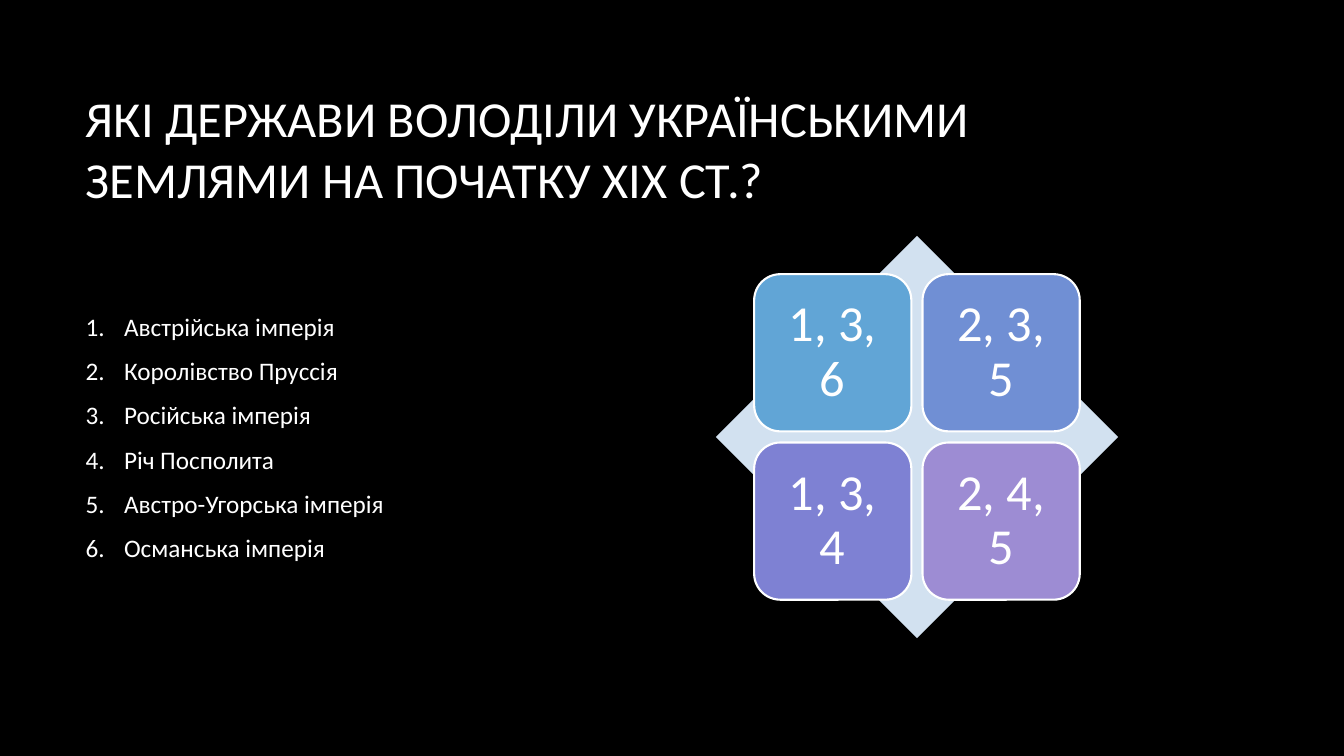
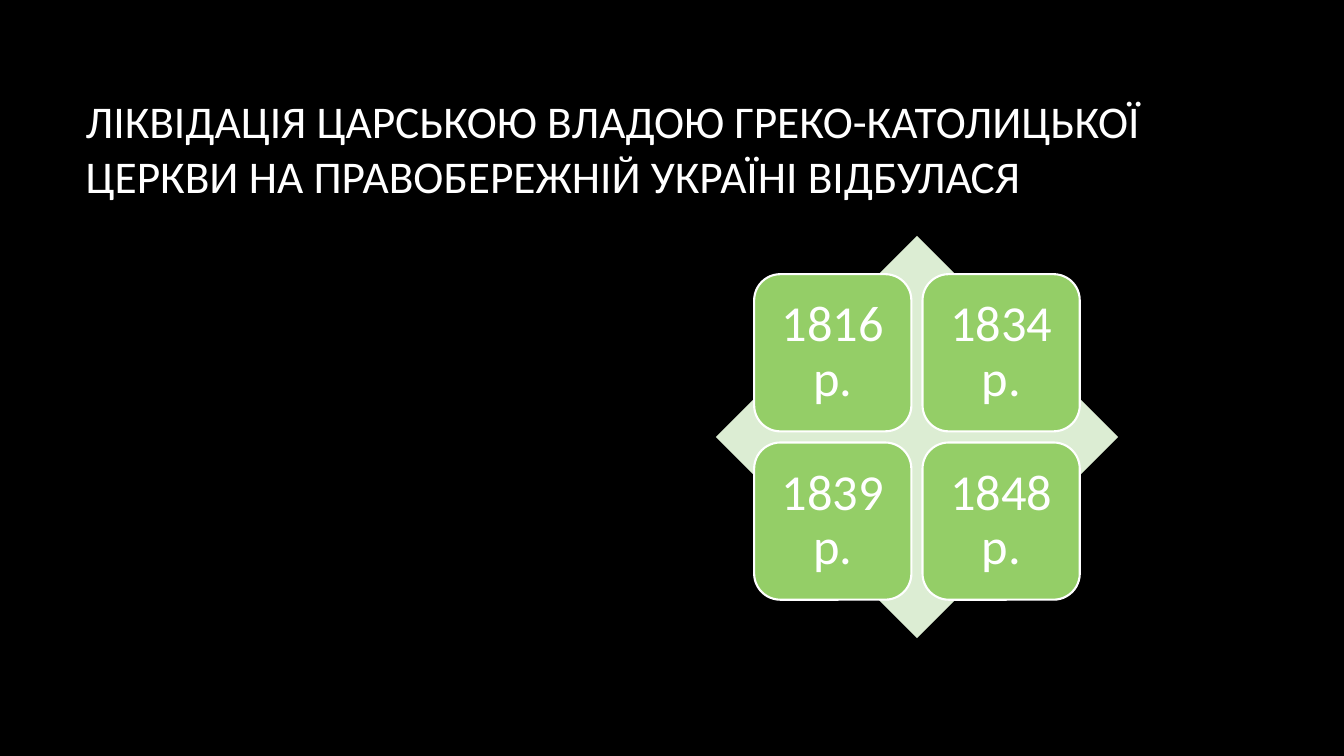
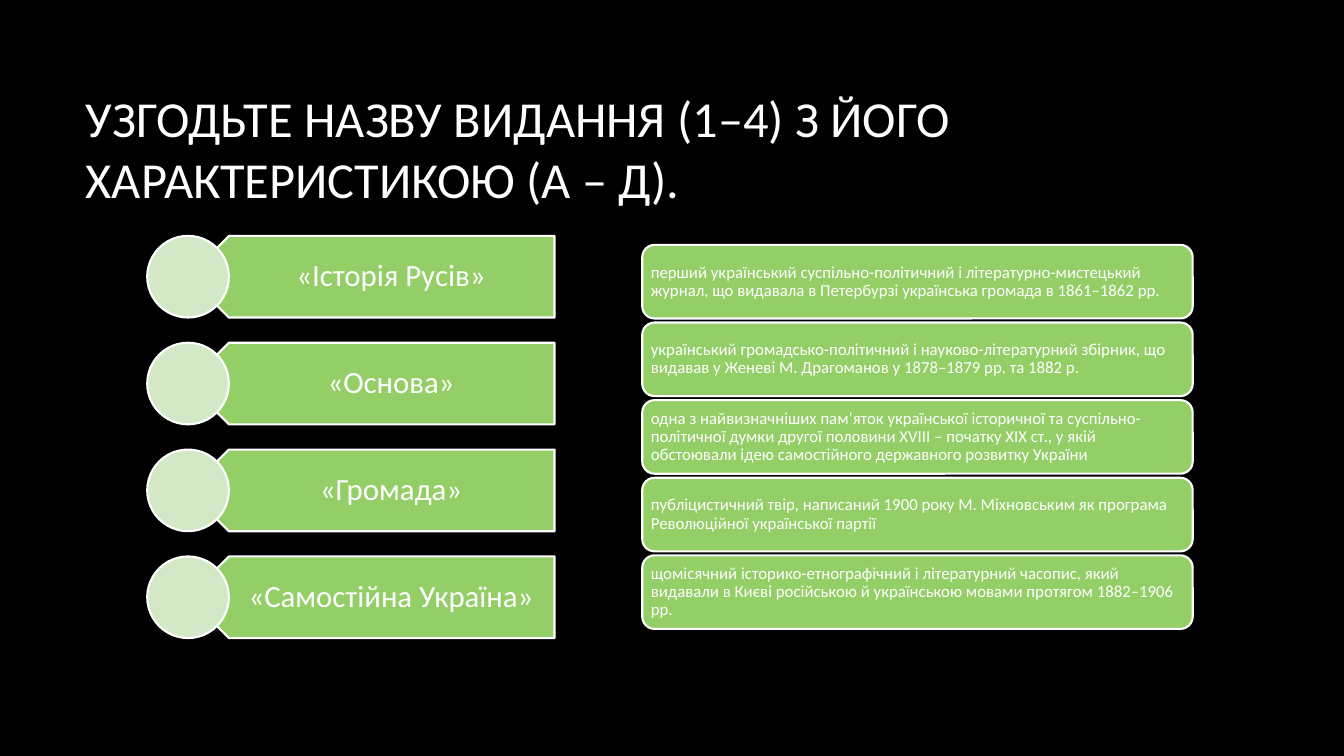
from lxml import etree
from pptx import Presentation
from pptx.dml.color import RGBColor
from pptx.enum.shapes import MSO_SHAPE
from pptx.enum.text import MSO_ANCHOR, MSO_AUTO_SIZE, PP_ALIGN
from pptx.oxml.ns import qn
from pptx.util import Inches, Pt

LEFT, CENTER = PP_ALIGN.LEFT, PP_ALIGN.CENTER
MIDDLE = MSO_ANCHOR.MIDDLE
NO_FIT = MSO_AUTO_SIZE.NONE
DIAMOND, ROUNDED = MSO_SHAPE.DIAMOND, MSO_SHAPE.ROUNDED_RECTANGLE
PLATE, OVAL = MSO_SHAPE.PENTAGON, MSO_SHAPE.OVAL

FONT = "Calibri"
COLORS = {
    "background": "000000", "text": "FFFFFF", "green": "94CE67",
    "pale_green": "DCEDD3", "circle": "D2E8C7", "pale_blue": "D2E1F0",
    "sky": "61A5D6", "blue": "708FD4", "indigo": "7E81D3", "violet": "9D8CD3",
}
TITLE_ONLY, TITLE_AND_BODY = 5, 1

# Regions: left, top, width, height in inches
TITLE_BOX = (0.75, 0.67, 11.08, 1.59)
LIST_BOX = (0.75, 2.34, 5.46, 3.99)
DIAMOND_BOX = (7.1, 2.34, 3.99, 3.99)
EDITIONS_BOX = (1.46, 2.34, 4.04, 3.99)
DESCRIPTIONS_BOX = (6.37, 2.43, 5.46, 3.81)

STATES = [
    "Австрійська імперія", "Королівство Пруссія", "Російська імперія",
    "Річ Посполита", "Австро-Угорська імперія", "Османська імперія",
]
EDITIONS = ["«Історія Русів»", "«Основа»", "«Громада»", "«Самостійна Україна»"]
DESCRIPTIONS = [
    "перший український суспільно-політичний і літературно-мистецький журнал, "
    "що видавала в Петербурзі українська громада в 1861–1862 рр.",
    "український громадсько-політичний і науково-літературний збірник, "
    "що видавав у Женеві М. Драгоманов у 1878–1879 рр. та 1882 р.",
    "одна з найвизначніших пам’яток української історичної та суспільно-політичної "
    "думки другої половини ХVІІІ – початку ХІХ ст., у якій обстоювали ідею "
    "самостійного державного розвитку України",
    "публіцистичний твір, написаний 1900 року М. Міхновським як програма "
    "Революційної української партії",
    "щомісячний історико-етнографічний і літературний часопис, який видавали в Києві "
    "російською й українською мовами протягом 1882–1906 рр.",
]


def color(name):
    return RGBColor.from_string(COLORS[name])


def place(shape, box):
    shape.left, shape.top, shape.width, shape.height = map(Inches, box)


def number_paragraph(paragraph):
    properties = paragraph._p.get_or_add_pPr()
    properties.set("marL", str(Inches(0.38)))
    properties.set("indent", str(-Inches(0.38)))
    bullet_color = etree.SubElement(properties, qn("a:buClr"))
    etree.SubElement(bullet_color, qn("a:srgbClr"), val=COLORS["text"])
    etree.SubElement(properties, qn("a:buFont"), typeface="+mj-lt")
    etree.SubElement(properties, qn("a:buAutoNum"), type="arabicPeriod")


def write(shape, lines, size=18, align=LEFT, insets=(0.1, 0.05, 0.1, 0.05),
          spacing=1.0, after=0, numbered=False):
    """Fill a shape with one paragraph per line."""
    frame = shape.text_frame
    frame.word_wrap = True
    frame.auto_size = NO_FIT
    frame.vertical_anchor = MIDDLE
    (frame.margin_left, frame.margin_top,
     frame.margin_right, frame.margin_bottom) = map(Inches, insets)
    for index, line in enumerate(lines):
        paragraph = frame.add_paragraph() if index else frame.paragraphs[0]
        if numbered:
            number_paragraph(paragraph)
        paragraph.alignment = align
        paragraph.line_spacing = spacing
        paragraph.space_before, paragraph.space_after = Pt(0), Pt(after)
        run = paragraph.add_run()
        run.text = line
        run.font.size, run.font.name = Pt(size), FONT
        run.font.color.rgb = color("text")


def add_figure(slide, kind, box, fill, outlined=True):
    figure = slide.shapes.add_shape(kind, *map(Inches, box))
    figure.shadow.inherit = False
    figure.fill.solid()
    figure.fill.fore_color.rgb = color(fill)
    if outlined:
        figure.line.color.rgb = color("text")
        figure.line.width = Pt(1.5)
    else:
        figure.line.fill.background()
    return figure


def add_titled_slide(prs, title, layout=TITLE_ONLY, size=36):
    slide = prs.slides.add_slide(prs.slide_layouts[layout])
    place(slide.shapes.title, TITLE_BOX)
    write(slide.shapes.title, [title], size=size)
    return slide


def add_numbered_list(slide, box, items):
    body = slide.placeholders[1]
    place(body, box)
    write(body, items, after=10, numbered=True)


def add_answer_diamond(slide, box, answers, fills, back):
    """Diamond with a two by two grid of answers."""
    left, top, side, _ = box
    add_figure(slide, DIAMOND, box, back, outlined=False)
    margin, tile = 0.38, 1.56
    step = side - 2 * margin - tile
    for index, (answer, fill) in enumerate(zip(answers, fills)):
        row, column = divmod(index, 2)
        tile_box = (left + margin + column * step, top + margin + row * step, tile, tile)
        answer_tile = add_figure(slide, ROUNDED, tile_box, fill)
        write(answer_tile, [answer], size=36, align=CENTER, insets=[0.15] * 4, spacing=0.9)


def add_editions(slide, box, editions):
    """Column of name plates, each led by a circle."""
    left, top, width, height = box
    plate_height = 0.81
    step = (height - plate_height) / (len(editions) - 1)
    radius = plate_height / 2
    for index, edition in enumerate(editions):
        y = top + index * step
        plate = add_figure(slide, PLATE, (left + radius, y, width - radius, plate_height), "green")
        plate.rotation = 180
        # The label stays upright over the turned plate
        label_box = (left + 1.5 * radius, y, width - 1.5 * radius, plate_height)
        label = slide.shapes.add_textbox(*map(Inches, label_box))
        write(label, [edition], size=22, align=CENTER,
              insets=(0.36, 0.09, 0.17, 0.09), spacing=0.9)
        add_figure(slide, OVAL, (left, y, plate_height, plate_height), "circle")


def add_descriptions(slide, box, descriptions):
    """Column of rounded cards."""
    left, top, width, height = box
    card_height = 0.73
    step = (height - card_height) / (len(descriptions) - 1)
    for index, description in enumerate(descriptions):
        card = add_figure(slide, ROUNDED, (left, top + index * step, width, card_height), "green")
        write(card, [description], size=12, insets=[0.05] * 4, spacing=0.9)


def main():
    prs = Presentation()
    prs.slide_width, prs.slide_height = Inches(13.33), Inches(7.5)
    backdrop = prs.slide_master.background.fill
    backdrop.solid()
    backdrop.fore_color.rgb = color("background")

    # States question
    states = add_titled_slide(
        prs, "ЯКІ ДЕРЖАВИ ВОЛОДІЛИ УКРАЇНСЬКИМИ ЗЕМЛЯМИ НА ПОЧАТКУ ХІХ СТ.?", TITLE_AND_BODY)
    add_numbered_list(states, LIST_BOX, STATES)
    add_answer_diamond(states, DIAMOND_BOX, ["1, 3, 6", "2, 3, 5", "1, 3, 4", "2, 4, 5"],
                       ["sky", "blue", "indigo", "violet"], "pale_blue")

    # Church question
    church = add_titled_slide(
        prs, "ЛІКВІДАЦІЯ ЦАРСЬКОЮ ВЛАДОЮ ГРЕКО-КАТОЛИЦЬКОЇ ЦЕРКВИ "
        "НА ПРАВОБЕРЕЖНІЙ УКРАЇНІ ВІДБУЛАСЯ", size=32.4)
    add_answer_diamond(church, DIAMOND_BOX, ["1816 р.", "1834 р.", "1839 р.", "1848 р."],
                       ["green"] * 4, "pale_green")

    # Matching question
    matching = add_titled_slide(
        prs, "УЗГОДЬТЕ НАЗВУ ВИДАННЯ (1–4) З ЙОГО ХАРАКТЕРИСТИКОЮ (А – Д).")
    add_editions(matching, EDITIONS_BOX, EDITIONS)
    add_descriptions(matching, DESCRIPTIONS_BOX, DESCRIPTIONS)

    prs.save("out.pptx")


if __name__ == "__main__":
    main()
